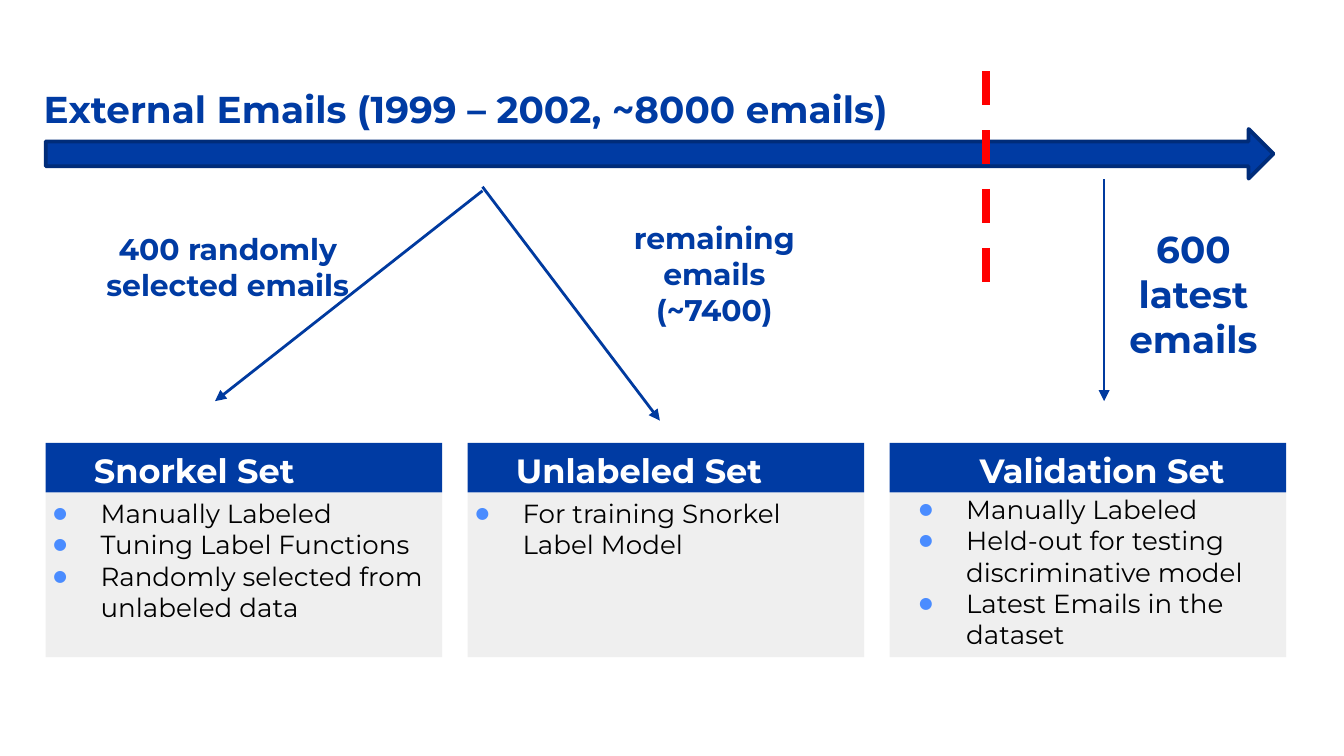
from dataclasses import dataclass

from lxml import etree
from pptx import Presentation
from pptx.dml.color import RGBColor
from pptx.enum.dml import MSO_LINE
from pptx.enum.shapes import MSO_CONNECTOR, MSO_SHAPE
from pptx.enum.text import MSO_ANCHOR, MSO_AUTO_SIZE, PP_ALIGN
from pptx.oxml.ns import qn
from pptx.util import Pt

LEFT, CENTER = PP_ALIGN.LEFT, PP_ALIGN.CENTER
RECT, RIGHT_ARROW = MSO_SHAPE.RECTANGLE, MSO_SHAPE.RIGHT_ARROW
STRAIGHT, DASH = MSO_CONNECTOR.STRAIGHT, MSO_LINE.DASH
TOP, NO_FIT = MSO_ANCHOR.TOP, MSO_AUTO_SIZE.NONE


@dataclass(frozen=True)
class Theme:
    font: str = "Montserrat"
    blue: str = "003BA3"
    outline: str = "002C79"
    flow: str = "003A9F"
    split: str = "FF0000"
    panel: str = "EFEFEF"
    bullet: str = "4A8CFF"
    white: str = "FFFFFF"
    black: str = "000000"
    title: int = 20
    heading: int = 18
    label: int = 16
    body: int = 14


THEME = Theme()
PX = 4572  # 200 px to the inch
SLIDE_SIZE = (2000, 1125)

# Content; boxes are (left, top, width, height) in px
TITLE = "External Emails (1999 – 2002, ~8000 emails)"
TITLE_BOX = (45, 108, 1686, 126)
TIMELINE_BOX = (68, 192, 1827, 74)
SPLIT_LINE = (1467, 106, 1467, 428)

# Heading, heading box, bullets, bullet box
DATA_SETS = [
    ("Snorkel Set", (120, 650, 610, 92),
     ["Manually Labeled", "Tuning Label Functions",
      "Randomly selected from unlabeled data"], (30, 720, 648, 190)),
    ("Unlabeled Set", (748, 650, 610, 92),
     ["For training Snorkel Label Model"], (658, 720, 628, 190)),
    ("Validation Set", (1438, 649, 610, 92),
     ["Manually Labeled", "Held-out for testing discriminative model",
      "Latest Emails in the dataset"], (1318, 714, 648, 190)),
]

# Label lines, label box, type size, arrow from x, y to x, y
FLOWS = [
    (["600", "latest emails"], (1598, 317, 356, 126), THEME.title,
     (1643, 267, 1643, 597)),
    (["remaining emails", "(~7400)"], (858, 307, 410, 126), THEME.label,
     (718, 278, 982, 626)),
    (["400 randomly selected emails"], (134, 324, 410, 126), THEME.label,
     (718, 284, 320, 597)),
]

# Card grid
CARD_LEFT, CARD_STEP, CARD_WIDTH = 68, 628, 590
HEADER_TOP, HEADER_HEIGHT = 659, 74
PANEL_TOP, PANEL_HEIGHT = 733, 245
INSET, BULLET_MARGIN, BULLET_HANG = 20, 100, 70


def emu(lengths):
    return [length * PX for length in lengths]


def rgb(color):
    return RGBColor.from_string(color)


def add_block(slide, preset, box, fill, outline=None):
    block = slide.shapes.add_shape(preset, *emu(box))
    block.shadow.inherit = False
    block.fill.solid()
    block.fill.fore_color.rgb = rgb(fill)
    if outline:
        block.line.color.rgb = rgb(outline)
        block.line.width = Pt(2)
    else:
        block.line.fill.background()


def add_line(slide, ends, color, width):
    line = slide.shapes.add_connector(STRAIGHT, *emu(ends))
    line.line.color.rgb = rgb(color)
    line.line.width = Pt(width)
    etree.SubElement(line._element.spPr, qn("a:effectLst"))
    return line


def add_bullet(paragraph):
    props = paragraph._p.get_or_add_pPr()
    props.set("marL", str(BULLET_MARGIN * PX))
    props.set("indent", str(-BULLET_HANG * PX))
    color = etree.SubElement(props, qn("a:buClr"))
    etree.SubElement(color, qn("a:srgbClr"), val=THEME.bullet)
    etree.SubElement(props, qn("a:buSzPct"), val="60000")
    etree.SubElement(props, qn("a:buFont"), typeface=THEME.font)
    etree.SubElement(props, qn("a:buChar"), char="●")


def write(holder, lines, size, color, bold=True, align=LEFT, after=0, bullets=False):
    frame = holder.text_frame
    frame.word_wrap = True
    frame.auto_size = NO_FIT
    frame.vertical_anchor = TOP
    frame.margin_left = frame.margin_right = INSET * PX
    frame.margin_top = frame.margin_bottom = INSET * PX
    for index, line in enumerate(lines):
        paragraph = frame.add_paragraph() if index else frame.paragraphs[0]
        paragraph.alignment = align
        paragraph.space_after = Pt(after)
        if bullets:
            add_bullet(paragraph)
        run = paragraph.add_run()
        run.text = line
        run.font.name = THEME.font
        run.font.size = Pt(size)
        run.font.bold = bold
        run.font.color.rgb = rgb(color)


def add_text(slide, box, lines, size, color, **style):
    write(slide.shapes.add_textbox(*emu(box)), lines, size, color, **style)


def main():
    deck = Presentation()
    deck.slide_width, deck.slide_height = emu(SLIDE_SIZE)
    slide = deck.slides.add_slide(deck.slide_layouts[5])

    # Title
    title = slide.shapes.title
    title.left, title.top, title.width, title.height = emu(TITLE_BOX)
    write(title, [TITLE], THEME.title, THEME.blue)

    # Data set cards
    for column, (heading, heading_box, points, points_box) in enumerate(DATA_SETS):
        left = CARD_LEFT + column * CARD_STEP
        add_block(slide, RECT, (left, PANEL_TOP, CARD_WIDTH, PANEL_HEIGHT), THEME.panel)
        add_block(slide, RECT, (left, HEADER_TOP, CARD_WIDTH, HEADER_HEIGHT), THEME.blue)
        add_text(slide, heading_box, [heading], THEME.heading, THEME.white, after=16)
        add_text(slide, points_box, points, THEME.body, THEME.black,
                 bold=False, bullets=True)

    # Timeline and split between older and latest emails
    add_block(slide, RIGHT_ARROW, TIMELINE_BOX, THEME.blue, THEME.outline)
    add_line(slide, SPLIT_LINE, THEME.split, 4.5).line.dash_style = DASH

    # Flows from the timeline to the cards
    for lines, box, size, ends in FLOWS:
        arrow = add_line(slide, ends, THEME.flow, 1.5)
        etree.SubElement(arrow.line._get_or_add_ln(), qn("a:tailEnd"), type="triangle")
        add_text(slide, box, lines, size, THEME.blue, align=CENTER)

    deck.save("out.pptx")


if __name__ == "__main__":
    main()
